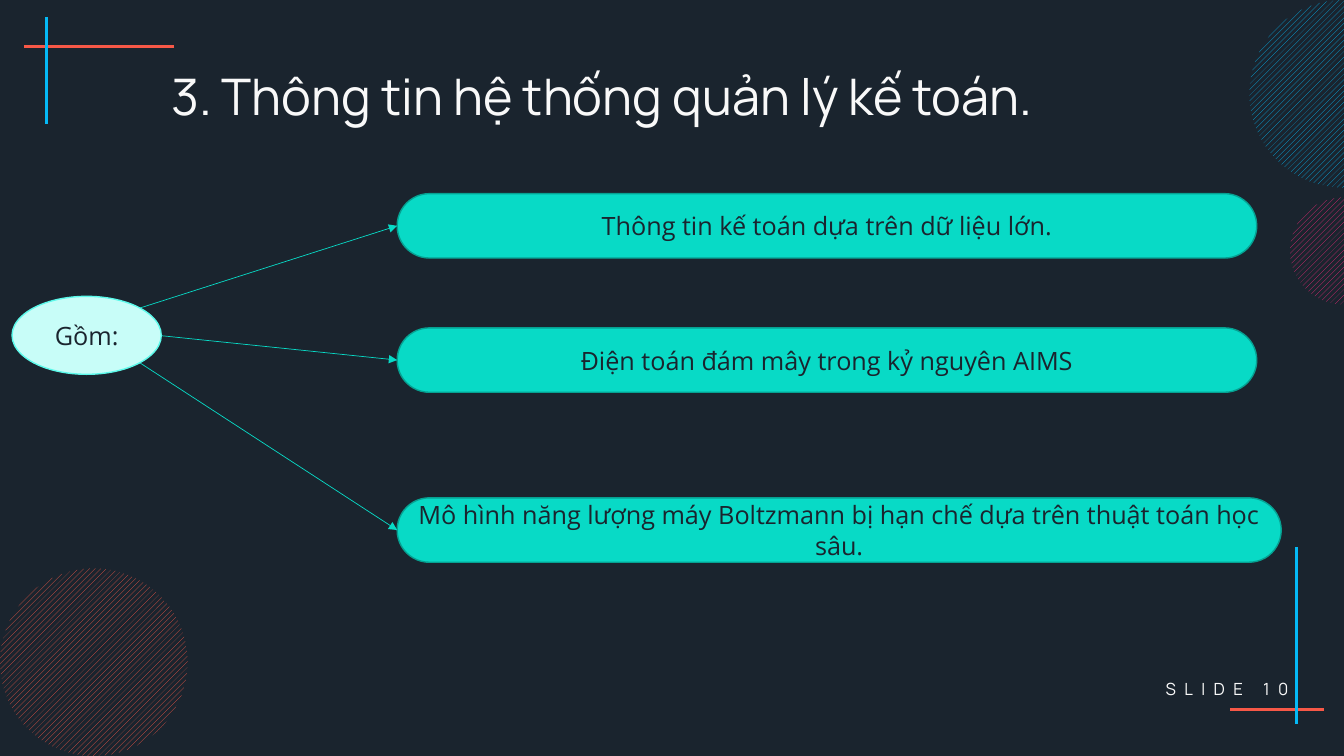
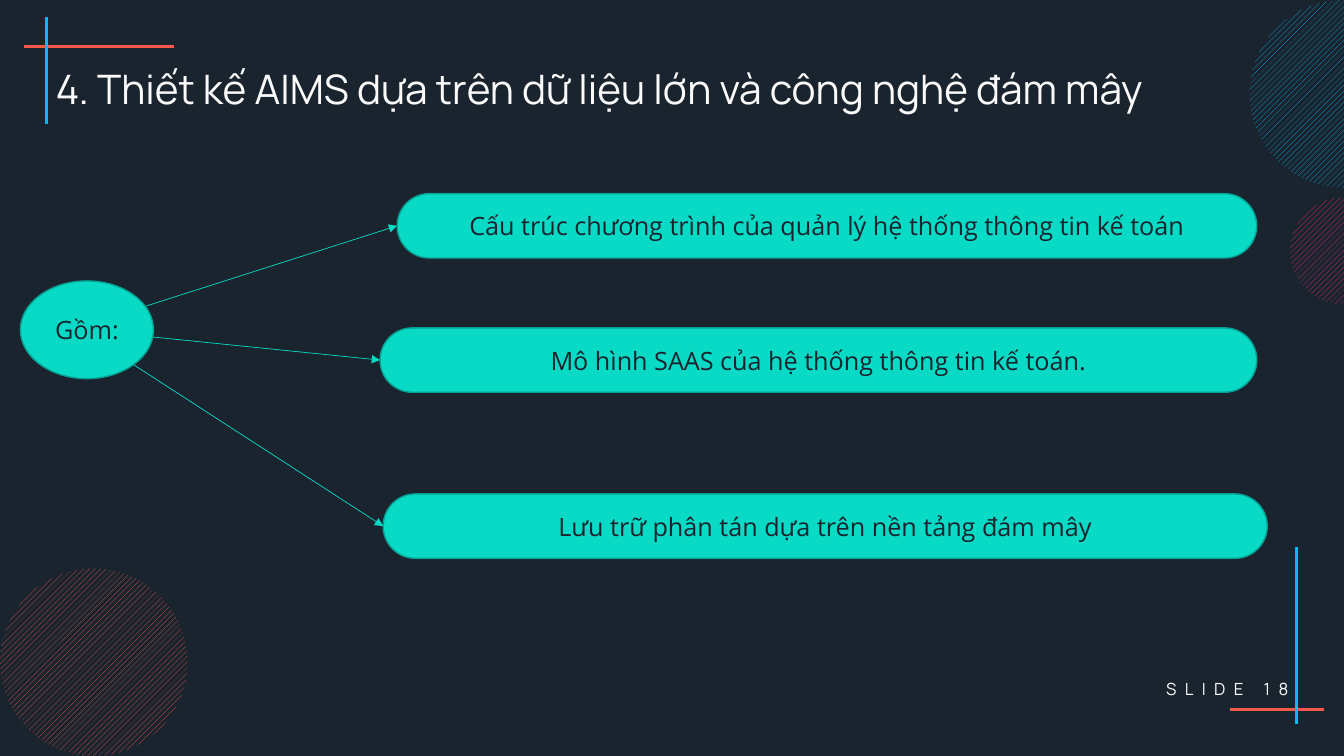
from lxml import etree
from pptx import Presentation
from pptx.dml.color import RGBColor
from pptx.enum.dml import MSO_PATTERN
from pptx.enum.shapes import MSO_CONNECTOR, MSO_SHAPE
from pptx.enum.text import MSO_ANCHOR, PP_ALIGN
from pptx.oxml.ns import qn
from pptx.util import Pt

OVAL, PILL = MSO_SHAPE.OVAL, MSO_SHAPE.ROUNDED_RECTANGLE
LINE = MSO_CONNECTOR.STRAIGHT
HATCH = MSO_PATTERN.WIDE_UPWARD_DIAGONAL
MIDDLE = MSO_ANCHOR.MIDDLE
LEFT, CENTER, RIGHT = PP_ALIGN.LEFT, PP_ALIGN.CENTER, PP_ALIGN.RIGHT

W, H = 960, 540
NAVY, WHITE = "1A242E", "F9F9F9"
CORAL, BLUE, PINK = "F75847", "05B9F6", "EF2A79"
TEAL, TEAL_DARK = "08DAC6", "06A192"
MINT, MINT_EDGE = "C8FDF8", "5BF9EA"
HEAD_FONT, BODY_FONT = "Manrope", "Open Sans"
PILL_H = 46

# Shared decoration: lines as x1, y1, x2, y2 and circles as left, top, size
RULES = [
    (124.5, 33.2, 17.5, 33.2, CORAL),
    (33.2, 88.5, 33.2, 12.2, BLUE),
    (878.5, 506.7, 946, 506.7, CORAL),
    (926, 391, 926, 517, BLUE),
]
CIRCLES = [
    (0, 406, 134, CORAL),
    (921.5, 141, 76.5, PINK),
    (892.5, 0, 134, BLUE),
]

# Each branch: text, left, top, width of the pill, then the arrow's start
SLIDES = [
    {
        "number": 10,
        "title": "3. Thông tin hệ thống quản lý kế toán.",
        "title_at": (115.2, 48.2), "title_size": 36,
        "hub": (8.6, 211.7, 106.6, 55.7), "hub_colors": (MINT, MINT_EDGE),
        "branches": [
            ("Thông tin kế toán dựa trên dữ liệu lớn.",
             283.7, 138.3, 614, (100, 220)),
            ("Điện toán đám mây trong kỷ nguyên AIMS",
             283.7, 234.2, 614, (115.2, 239.8)),
            ("Mô hình năng lượng máy Boltzmann bị hạn chế dựa trên thuật toán học sâu.",
             283.7, 355.6, 631.5, (100, 259.2)),
        ],
    },
    {
        "number": 18,
        "title": "4. Thiết kế AIMS dựa trên dữ liệu lớn và công nghệ đám mây",
        "title_at": (32.6, 42.5), "title_size": 29,
        "hub": (14.6, 200.7, 95, 69.8), "hub_colors": (TEAL, TEAL_DARK),
        "branches": [
            ("Cấu trúc chương trình của quản lý hệ thống thông tin kế toán",
             283.7, 138.3, 614, (100, 220)),
            ("Mô hình SAAS của hệ thống thông tin kế toán.",
             271.5, 234.2, 626.3, (100, 239.8)),
            ("Lưu trữ phân tán dựa trên nền tảng đám mây",
             273.7, 352.8, 631.5, (90, 257)),
        ],
    },
]


def rgb(color):
    return RGBColor.from_string(color)


def write(sp, text, font, size, color, align):
    tf = sp.text_frame
    tf.word_wrap = True
    tf.vertical_anchor = MIDDLE
    p = tf.paragraphs[0]
    p.text = text
    p.alignment = align
    r = p.runs[0]
    r.font.name, r.font.size = font, Pt(size)
    r.font.color.rgb = rgb(color)
    return p


def add_text(s, box, *style):
    return write(s.shapes.add_textbox(*map(Pt, box)), *style)


def add_line(s, x1, y1, x2, y2, color, width=2, arrow=False):
    sp = s.shapes.add_connector(LINE, Pt(x1), Pt(y1), Pt(x2), Pt(y2))
    sp.line.color.rgb = rgb(color)
    sp.line.width = Pt(width)
    if arrow:
        etree.SubElement(sp.line._get_or_add_ln(), qn("a:tailEnd"), type="triangle")
    etree.SubElement(sp._element.spPr, qn("a:effectLst"))


def add_node(s, kind, box, fill, edge, text):
    sp = s.shapes.add_shape(kind, *map(Pt, box))
    sp.shadow.inherit = False
    if kind == PILL:
        sp.adjustments[0] = 0.5
    sp.fill.solid()
    sp.fill.fore_color.rgb = rgb(fill)
    sp.line.color.rgb = rgb(edge)
    sp.line.width = Pt(1)
    write(sp, text, BODY_FONT, 18, NAVY, CENTER)


def add_circle(s, left, top, size, color):
    sp = s.shapes.add_shape(OVAL, Pt(left), Pt(top), Pt(size), Pt(size))
    sp.shadow.inherit = False
    sp.fill.patterned()
    sp.fill.pattern = HATCH
    sp.fill.fore_color.rgb = rgb(color)
    sp.fill.back_color.rgb = rgb(NAVY)
    sp.line.fill.background()


def add_frame(s, number):
    for rule in RULES:
        add_line(s, *rule)
    for circle in CIRCLES:
        add_circle(s, *circle)
    p = add_text(s, (777.6, 477.4, 149.8, 29.5),
                 f"SLIDE {number}", HEAD_FONT, 12, WHITE, RIGHT)
    p.runs[0].font._element.set("spc", "600")


def add_slide(prs, data):
    s = prs.slides.add_slide(prs.slide_layouts[6])
    add_frame(s, data["number"])

    # Title
    left, top = data["title_at"]
    p = add_text(s, (left, top, W - left, 46), data["title"],
                 HEAD_FONT, data["title_size"], WHITE, LEFT)
    p.line_spacing = 0.9

    # Branches, then the hub on top of the arrows
    for text, left, top, width, start in data["branches"]:
        add_node(s, PILL, (left, top, width, PILL_H), TEAL, TEAL_DARK, text)
        add_line(s, *start, left, top + PILL_H / 2, TEAL, 0.5, arrow=True)
    add_node(s, OVAL, data["hub"], *data["hub_colors"], "Gồm:")


def main():
    prs = Presentation()
    prs.slide_width, prs.slide_height = Pt(W), Pt(H)
    bg = prs.slide_master.background.fill
    bg.solid()
    bg.fore_color.rgb = rgb(NAVY)
    for data in SLIDES:
        add_slide(prs, data)
    prs.save("out.pptx")


if __name__ == "__main__":
    main()
